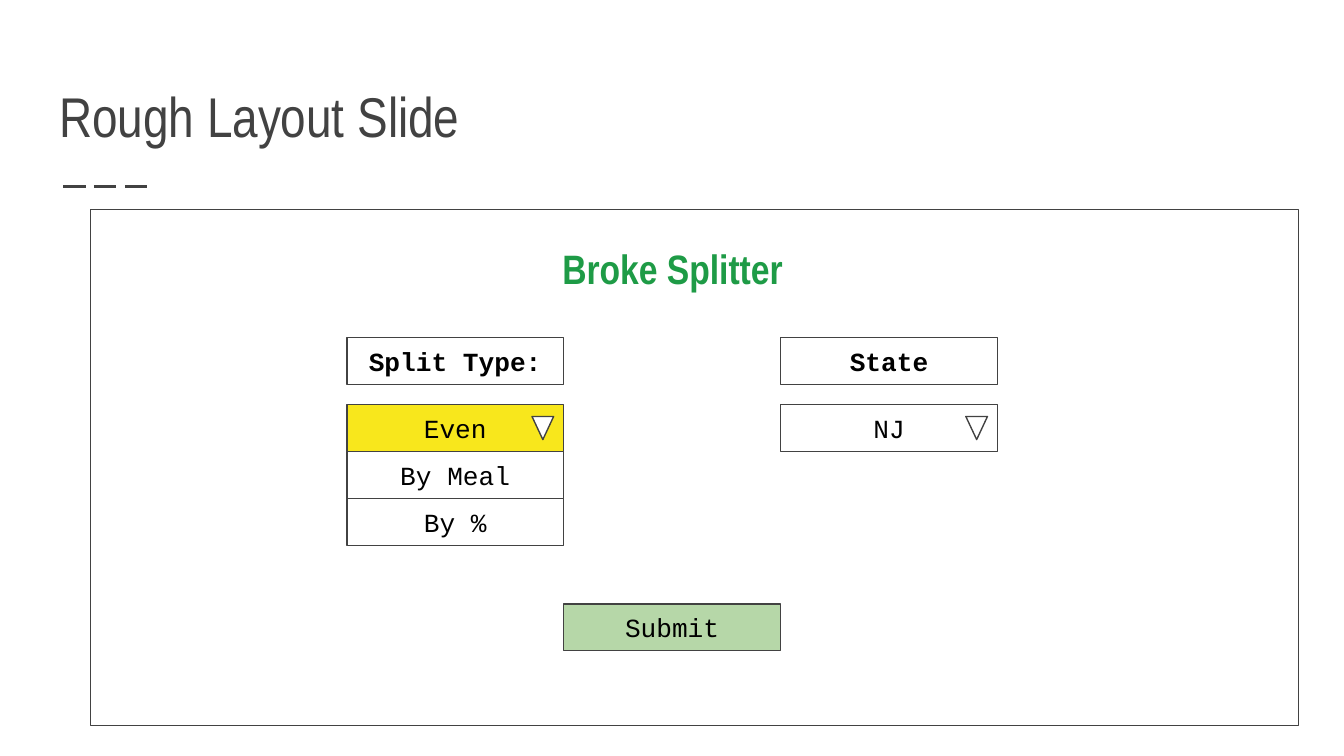
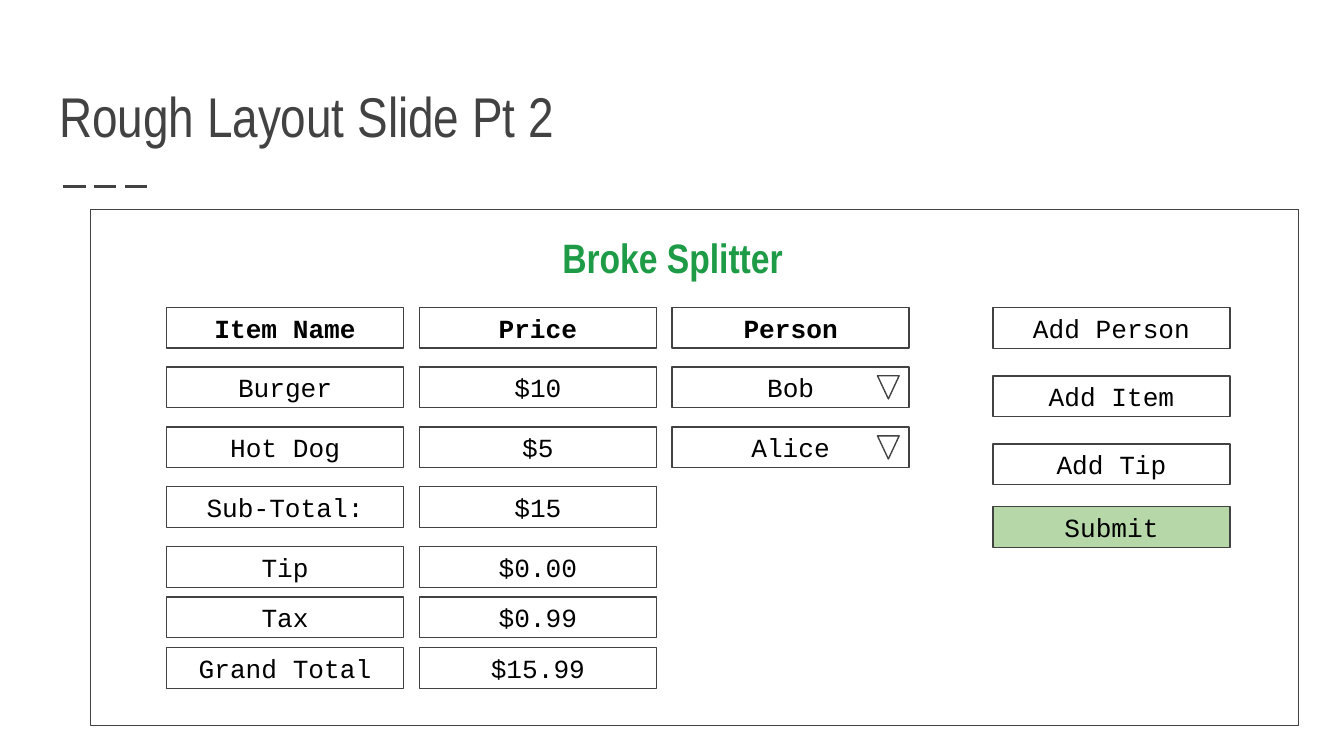
import pptx
import pptx.dml.color
import pptx.enum.dml
import pptx.enum.shapes
import pptx.enum.text
import pptx.oxml
import pptx.util

Pt = pptx.util.Pt
SHAPES = pptx.enum.shapes.MSO_SHAPE
ALIGN = pptx.enum.text.PP_ALIGN
ANCHOR = pptx.enum.text.MSO_ANCHOR
AUTO_SIZE = pptx.enum.text.MSO_AUTO_SIZE

INK, BLACK, WHITE = "424242", "000000", "FFFFFF"
BRAND_GREEN, BUTTON_GREEN, SELECTED = "1E9B46", "B6D7A8", "F8E71C"
TITLE_FONT, FIELD_FONT = "Arial Narrow", "Courier New"
APP_NAME = "Broke Splitter"

CHOICE = {
    "title": "Rough Layout Slide",
    "app_top": 123.2,
    "left": 185.8, "step": 116.2, "width": 116.2, "height": 25.2,
    "tops": [180.9, 216.7, 241.9, 267.1, 323.5],
    "columns": [
        ["Split Type:", "Even", "By Meal", "By %"],
        [None, None, None, None, "Submit"],
        ["State", "NJ"],
    ],
    "headers": {"Split Type:", "State"},
    "dropdowns": {"Even", "NJ"},
    "fills": {"Even": SELECTED, "Submit": BUTTON_GREEN},
}

BILL = {
    "title": "Rough Layout Slide Pt 2",
    "app_top": 117.6,
    "left": 89.3, "step": 135.4, "width": 127, "height": 21.8,
    "tops": [164.6, 196.6, 228.8, 260.8, 292.9, 319.9, 347],
    "columns": [
        ["Item Name", "Burger", "Hot Dog", "Sub-Total:", "Tip", "Tax", "Grand Total"],
        ["Price", "$10", "$5", "$15", "$0.00", "$0.99", "$15.99"],
        ["Person", "Bob", "Alice"],
    ],
    "headers": {"Item Name", "Price", "Person"},
    "dropdowns": {"Bob", "Alice"},
    "fills": {"Submit": BUTTON_GREEN},
    "actions_left": 532,
    "actions": [("Add Person", 164.8), ("Add Item", 201.4),
                ("Add Tip", 237.8), ("Submit", 271.4)],
}


def color(value):
    return pptx.dml.color.RGBColor.from_string(value)


def write(shape, text, font=FIELD_FONT, size=14, ink=BLACK, bold=False,
          align=ALIGN.CENTER, anchor=ANCHOR.MIDDLE, auto_size=AUTO_SIZE.NONE):
    frame = shape.text_frame
    frame.word_wrap = True
    frame.auto_size = auto_size
    frame.vertical_anchor = anchor
    frame.margin_left = frame.margin_right = Pt(7.2)
    frame.margin_top = frame.margin_bottom = Pt(7.2)
    paragraph = frame.paragraphs[0]
    paragraph.alignment = align
    run = paragraph.add_run()
    run.text = text
    run.font.name = font
    run.font.size = Pt(size)
    run.font.bold = bold
    run.font.color.rgb = color(ink)


def add_outline(slide, kind, left, top, width, height, fill=WHITE):
    shape = slide.shapes.add_shape(kind, Pt(left), Pt(top), Pt(width), Pt(height))
    shape.shadow.inherit = False
    shape.fill.solid()
    shape.fill.fore_color.rgb = color(fill)
    shape.line.color.rgb = color(INK)
    shape.line.width = Pt(0.75)
    return shape


def add_field(slide, screen, text, left, top):
    width, height = screen["width"], screen["height"]
    field = add_outline(slide, SHAPES.RECTANGLE, left, top, width, height,
                        screen["fills"].get(text, WHITE))
    write(field, text, bold=text in screen["headers"])
    if text in screen["dropdowns"]:
        arrow_width, arrow_height = 11.6, 12.4
        arrow = add_outline(slide, SHAPES.ISOSCELES_TRIANGLE, left + width - 17,
                            top + (height - arrow_height) / 2, arrow_width, arrow_height)
        arrow.rotation = 180


def add_frame(slide, screen):
    title = slide.shapes.title
    title.left, title.top, title.width, title.height = Pt(24.5), Pt(29.5), Pt(671), Pt(57.6)
    write(title, screen["title"], font=TITLE_FONT, size=30, ink=INK,
          align=ALIGN.LEFT, anchor=ANCHOR.BOTTOM)

    dashes = slide.shapes.add_connector(pptx.enum.shapes.MSO_CONNECTOR.STRAIGHT,
                                        Pt(33.8), Pt(100.1), Pt(82.1), Pt(100.1))
    dashes.line.color.rgb = color(INK)
    dashes.line.width = Pt(1.5)
    dashes.line.dash_style = pptx.enum.dml.MSO_LINE.LONG_DASH
    dashes._element.spPr.append(pptx.oxml.parse_xml(
        '<a:effectLst xmlns:a="http://schemas.openxmlformats.org/drawingml/2006/main"/>'))

    add_outline(slide, SHAPES.RECTANGLE, 48.4, 112.4, 647.2, 276.4)
    app_name = slide.shapes.add_textbox(Pt(89.3), Pt(screen["app_top"]), Pt(542), Pt(41))
    write(app_name, APP_NAME, font=TITLE_FONT, size=22, ink=BRAND_GREEN, bold=True,
          anchor=ANCHOR.TOP, auto_size=AUTO_SIZE.SHAPE_TO_FIT_TEXT)


def add_screen(deck, screen):
    slide = deck.slides.add_slide(deck.slide_layouts[5])
    add_frame(slide, screen)
    for index, column in enumerate(screen["columns"]):
        left = screen["left"] + index * screen["step"]
        for text, top in zip(column, screen["tops"]):
            if text:
                add_field(slide, screen, text, left, top)
    for text, top in screen.get("actions", []):
        add_field(slide, screen, text, screen["actions_left"], top)


def main():
    deck = pptx.Presentation()
    deck.slide_width, deck.slide_height = Pt(720), Pt(405)
    for screen in (CHOICE, BILL):
        add_screen(deck, screen)
    deck.save("out.pptx")


if __name__ == "__main__":
    main()
